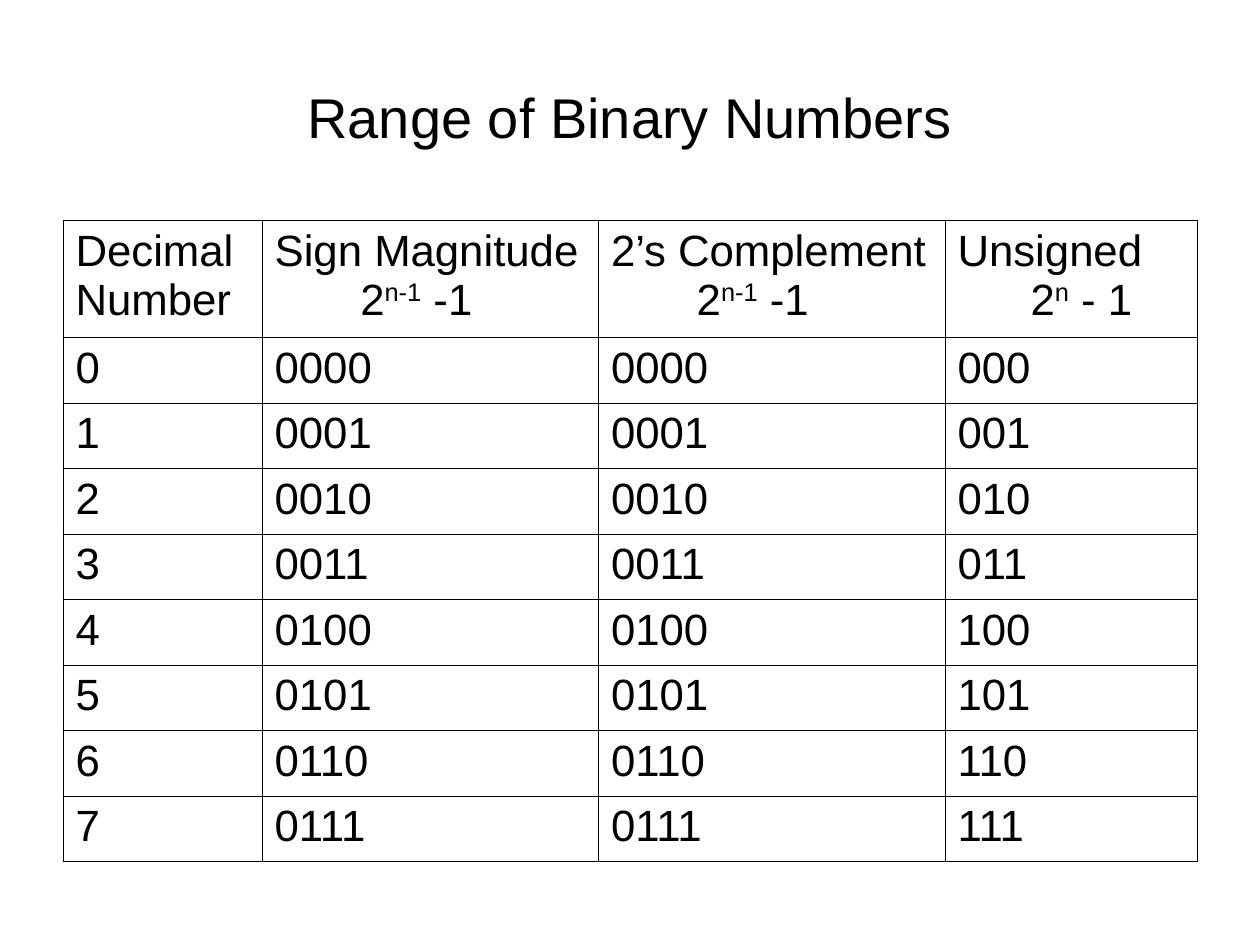
"""Build a slide with a table of binary number ranges."""
from pptx import Presentation
from pptx.dml.color import RGBColor
from pptx.enum.text import MSO_ANCHOR, PP_ALIGN
from pptx.oxml.ns import qn
from pptx.util import Inches, Pt
from lxml.etree import SubElement

TITLE = "Range of Binary Numbers"
HEADERS = [
    ("Decimal", [("Number", False)], 0),
    ("Sign Magnitude", [("2", False), ("n-1", True), (" -1", False)], 0.68),
    ("2’s Complement", [("2", False), ("n-1", True), (" -1", False)], 0.68),
    ("Unsigned", [("2", False), ("n", True), (" - 1", False)], 0.58),
]
NUMBERS = range(8)
FORMATS = ["d", "04b", "04b", "03b"]
COL_WIDTHS = [1.58, 2.67, 2.75, 2]
HEADER_HEIGHT, ROW_HEIGHT = 0.93, 0.52
LEFT, TABLE_TOP = 0.5, 1.75
FONT, TITLE_SIZE, CELL_SIZE = "Arial", 32, 25
BORDER_WIDTH = 0.45
BLACK = RGBColor(0, 0, 0)


def add_run(p, text, size, superscript=False):
    r = p.add_run()
    r.text = text
    r.font.name, r.font.size = FONT, Pt(size)
    r.font.color.rgb = BLACK
    if superscript:
        r.font._element.set("baseline", "30000")


def add_line(p, runs, indent=0):
    p.alignment = PP_ALIGN.JUSTIFY
    if indent:
        p._p.get_or_add_pPr().set("marL", str(Inches(indent)))
    for text, superscript in runs:
        add_run(p, text, CELL_SIZE, superscript)


def style_cell(cell):
    tc_pr = cell._tc.get_or_add_tcPr()
    for side in ("lnL", "lnR", "lnT", "lnB"):
        ln = SubElement(tc_pr, qn(f"a:{side}"), w=str(Pt(BORDER_WIDTH)))
        fill = SubElement(ln, qn("a:solidFill"))
        SubElement(fill, qn("a:srgbClr"), val=str(BLACK))
    cell.fill.background()


def add_title(s):
    title = s.shapes.title
    title.left, title.top = Inches(LEFT), Inches(0.3)
    title.width, title.height = Inches(sum(COL_WIDTHS)), Inches(1.25)
    tf = title.text_frame
    tf.vertical_anchor = MSO_ANCHOR.MIDDLE
    p = tf.paragraphs[0]
    p.alignment = PP_ALIGN.CENTER
    add_run(p, TITLE, TITLE_SIZE)


def add_number_table(s):
    heights = [HEADER_HEIGHT] + [ROW_HEIGHT] * len(NUMBERS)
    table = s.shapes.add_table(
        len(heights), len(COL_WIDTHS), Inches(LEFT), Inches(TABLE_TOP),
        Inches(sum(COL_WIDTHS)), Inches(sum(heights))).table
    table.horz_banding = table.first_row = False
    for row, height in zip(table.rows, heights):
        row.height = Inches(height)
    for col, (name, formula, indent) in enumerate(HEADERS):
        table.columns[col].width = Inches(COL_WIDTHS[col])
        tf = table.cell(0, col).text_frame
        add_line(tf.paragraphs[0], [(name, False)])
        add_line(tf.add_paragraph(), formula, indent)
        for row, number in enumerate(NUMBERS, 1):
            p = table.cell(row, col).text_frame.paragraphs[0]
            add_line(p, [(format(number, FORMATS[col]), False)])
    for cell in table.iter_cells():
        style_cell(cell)


def main():
    prs = Presentation()
    prs.slide_width, prs.slide_height = Inches(10), Inches(7.5)
    s = prs.slides.add_slide(prs.slide_layouts[5])
    add_title(s)
    add_number_table(s)
    prs.save("out.pptx")


if __name__ == "__main__":
    main()
